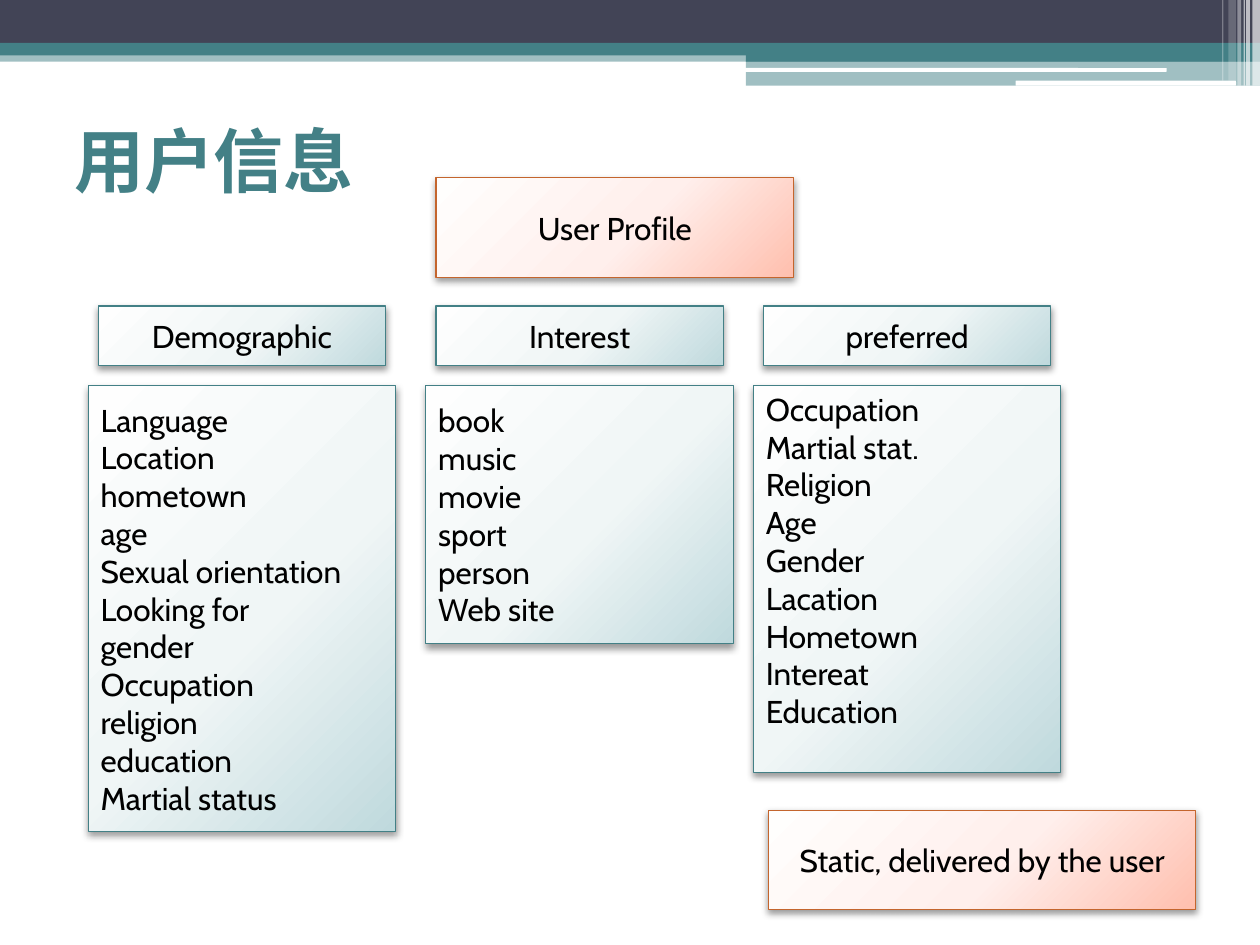
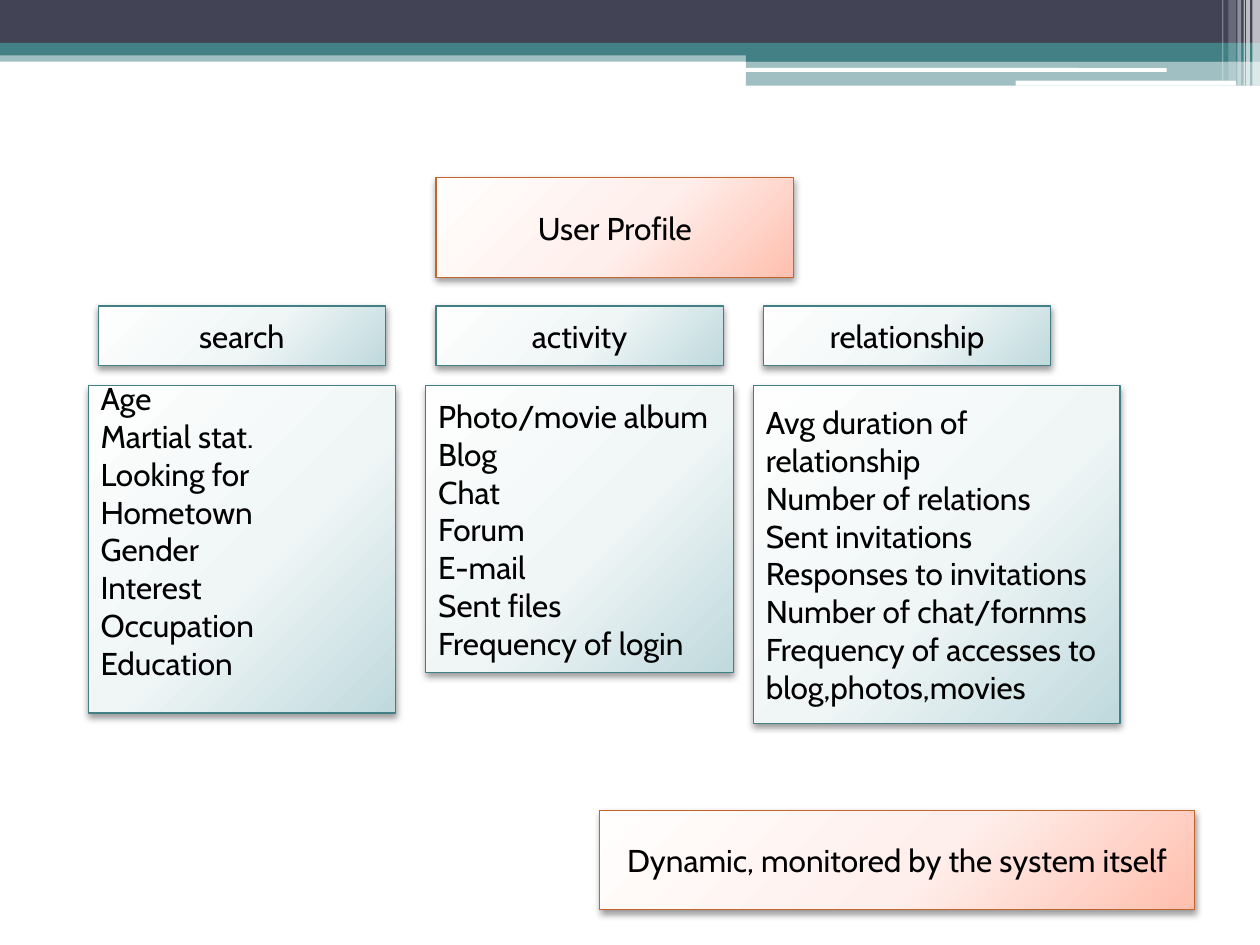
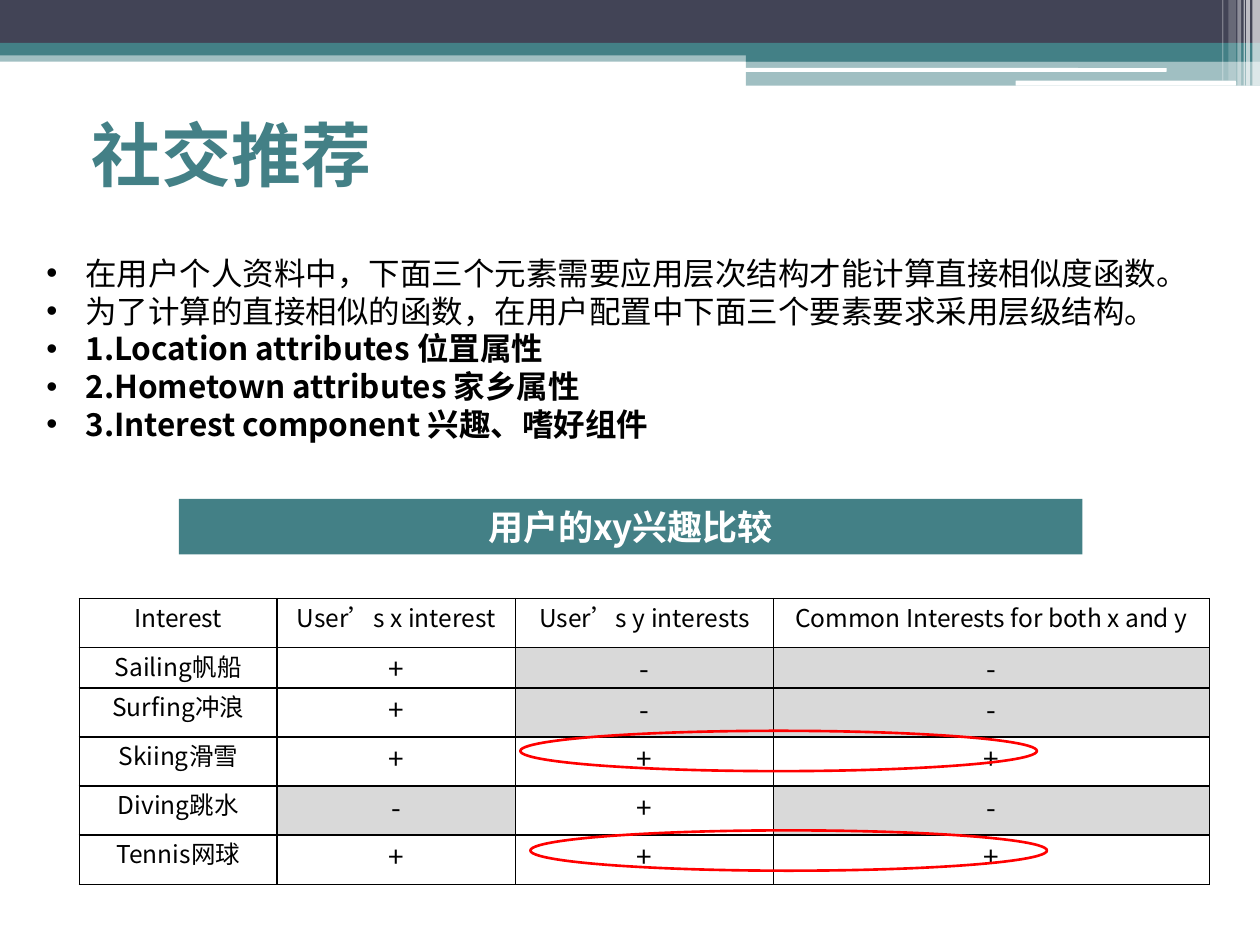
from dataclasses import dataclass
from typing import NamedTuple

from lxml.etree import SubElement
from pptx import Presentation
from pptx.dml.color import RGBColor
from pptx.enum.shapes import MSO_SHAPE as Preset
from pptx.enum.text import MSO_ANCHOR as Anchor, PP_ALIGN as Align
from pptx.oxml import parse_xml
from pptx.oxml.ns import nsdecls, qn
from pptx.util import Emu, Pt

PX = 9144
TEAL, NAVY, ORANGE = "438086", "424456", "C4652D"
WHITE, BLACK, RED, GREY = "FFFFFF", "000000", "FF0000", "D9D9D9"
CABIN, SC, TC = "Cabin", "Noto Sans CJK SC", "Noto Sans CJK TC"


class Area(NamedTuple):
    left: int
    top: int
    width: int
    height: int

    def emu(self) -> list[Emu]:
        return [Emu(length * PX) for length in self]


class Band(NamedTuple):
    area: Area
    color: str
    alpha: int = 100
    preset: Preset = Preset.RECTANGLE


class CardStyle(NamedTuple):
    line: str
    stops: tuple[str, str, str]


@dataclass(frozen=True)
class TextStyle:
    size: int
    font: str
    color: str = BLACK
    bold: bool = False
    align: Align = Align.LEFT
    east_font: str = ""


@dataclass(frozen=True)
class Topic:
    name: str
    items: str
    height: int
    width: int = 244
    lift: int = 0


TEAL_CARD = CardStyle(TEAL, ("FEFEFE", "F0F6F6", "BFD9DD"))
ORANGE_CARD = CardStyle(ORANGE, ("FFFEFD", "FFEFEC", "FFBFAE"))
LIST_TEXT = TextStyle(18, CABIN)
LABEL_TEXT = TextStyle(18, CABIN, align=Align.CENTER)
TITLE_TEXT = TextStyle(40, TC, TEAL, bold=True)
BANNER_TEXT = TextStyle(20, SC, WHITE, bold=True, align=Align.CENTER)
NAME_TEXT = TextStyle(14, SC, align=Align.CENTER)
MARK_TEXT = TextStyle(16, SC, align=Align.CENTER)

BANDS = [
    Band(Area(0, 40, 1000, 9), TEAL, 50),
    Band(Area(0, 0, 1000, 34), NAVY),
    Band(Area(0, 34, 1000, 10), TEAL),
    Band(Area(592, 39, 408, 10), TEAL),
    Band(Area(592, 48, 408, 20), TEAL, 50),
    Band(Area(591, 54, 335, 3), WHITE, preset=Preset.ROUNDED_RECTANGLE),
    Band(Area(806, 64, 175, 4), WHITE, preset=Preset.ROUNDED_RECTANGLE),
    *(
        Band(Area(left, 0, width, height), WHITE, alpha)
        for left, width, height, alpha in [
            (994, 6, 68, 65), (989, 3, 68, 65), (987, 1, 68, 60),
            (982, 3, 68, 40), (975, 6, 64, 20), (970, 1, 64, 30),
        ]
    ),
]

STATIC_TOPICS = [
    Topic("Demographic", "Language|Location|hometown|age|Sexual orientation|Looking for|"
          "gender|Occupation|religion|education|Martial status", 354),
    Topic("Interest", "book|music|movie|sport|person|Web site", 205),
    Topic("preferred", "Occupation|Martial stat.|Religion|Age|Gender|Lacation|"
          "Hometown|Intereat|Education", 307, lift=30),
]
DYNAMIC_TOPICS = [
    Topic("search", "Age|Martial stat.|Looking for|Hometown|Gender|Interest|"
          "Occupation|Education", 260, lift=30),
    Topic("activity", "Photo/movie album|Blog|Chat|Forum|E-mail|Sent files|"
          "Frequency of login", 228),
    Topic("relationship", "Avg duration of relationship|Number of relations|"
          "Sent invitations|Responses to invitations|Number of chat/fornms|"
          "Frequency of accesses to blog,photos,movies", 268, width=291),
]
TOPIC_LEFTS = (70, 338, 598)

NOTES = [
    "在用户个人资料中，下面三个元素需要应用层次结构才能计算直接相似度函数。",
    "为了计算的直接相似的函数，在用户配置中下面三个要素要求采用层级结构。",
    "1.Location attributes 位罝属性",
    "2.Hometown attributes 家乡属性",
    "3.Interest component 兴趣、嗜好组件",
]
INTERESTS = [
    ("Interest", "User’s x interest", "User’s y interests", "Common Interests for both x and y"),
    ("Sailing帆船", "+", "-", "-"),
    ("Surfing冲浪", "+", "-", "-"),
    ("Skiing滑雪", "+", "+", "+"),
    ("Diving跳水", "-", "+", "-"),
    ("Tennis网球", "+", "+", "+"),
]
COLUMN_WIDTHS = (157, 189, 205, 346)
ROW_HEIGHTS = (39, 32, 39, 39, 39, 39)


def rgb(color: str) -> RGBColor:
    return RGBColor.from_string(color)


def style_paragraph(para, style: TextStyle) -> None:
    para.alignment = style.align
    font = para.font
    font.size, font.bold, font.name = Pt(style.size), style.bold, style.font
    font.color.rgb = rgb(style.color)
    east = SubElement(para._p.pPr.find(qn("a:defRPr")), qn("a:ea"))
    east.set("typeface", style.east_font or style.font)


def write_lines(frame, lines: list[str], style: TextStyle) -> None:
    frame.word_wrap = True
    frame.vertical_anchor = Anchor.MIDDLE
    for index, line in enumerate(lines):
        para = frame.add_paragraph() if index else frame.paragraphs[0]
        para.text = line
        style_paragraph(para, style)


def add_box(page, area: Area, color: str, preset: Preset = Preset.RECTANGLE):
    box = page.shapes.add_shape(preset, *area.emu())
    box.shadow.inherit = False
    box.fill.solid()
    box.fill.fore_color.rgb = rgb(color)
    box.line.fill.background()
    return box


def add_band(page, band: Band) -> None:
    box = add_box(page, band.area, band.color, band.preset)
    if band.alpha < 100:
        color = box._element.spPr.find(qn("a:solidFill"))[0]
        SubElement(color, qn("a:alpha")).set("val", str(band.alpha * 1000))


def add_card(page, area: Area, card: CardStyle, lines: list[str], style: TextStyle, lift: int = 0) -> None:
    box = add_box(page, area, WHITE)
    box.line.color.rgb = rgb(card.line)
    box.line.width = Pt(0.75)
    stops = "".join(
        f'<a:gs pos="{place}000"><a:srgbClr val="{color}"/></a:gs>'
        for place, color in zip((0, 55, 100), card.stops)
    )
    properties = box._element.spPr
    properties.replace(properties.find(qn("a:solidFill")), parse_xml(
        f'<a:gradFill {nsdecls("a")} rotWithShape="1"><a:gsLst>{stops}</a:gsLst>'
        '<a:path path="circle"><a:fillToRect l="-40000" t="-90000" r="140000" b="190000"/>'
        '</a:path></a:gradFill>'))
    properties.find(qn("a:effectLst")).append(parse_xml(
        f'<a:outerShdw {nsdecls("a")} blurRad="51500" dist="25400" dir="5400000" rotWithShape="0">'
        '<a:srgbClr val="000000"><a:alpha val="40000"/></a:srgbClr></a:outerShdw>'))
    box.text_frame.margin_bottom = Emu((5 + lift) * PX)
    write_lines(box.text_frame, lines, style)


def add_page(deck):
    page = deck.slides.add_slide(deck.slide_layouts[6])
    for band in BANDS:
        add_band(page, band)
    return page


def add_title(page, title: str, left: int, top: int) -> None:
    box = page.shapes.add_textbox(*Area(left, top, 900, 117).emu())
    write_lines(box.text_frame, [title], TITLE_TEXT)


def add_profile_page(deck, topics: list[Topic], source: str, source_area: Area):
    page = add_page(deck)
    for left, topic in zip(TOPIC_LEFTS, topics):
        body = Area(left, 306, topic.width, topic.height)
        add_card(page, body, TEAL_CARD, topic.items.split("|"), LIST_TEXT, topic.lift)
        add_card(page, Area(left + 8, 243, 228, 47), TEAL_CARD, [topic.name], LABEL_TEXT)
    add_card(page, Area(346, 141, 284, 79), ORANGE_CARD, ["User Profile"], LABEL_TEXT)
    add_card(page, source_area, ORANGE_CARD, [source], LABEL_TEXT)
    return page


def add_notes_list(page) -> None:
    frame = page.shapes.add_textbox(*Area(27, 178, 945, 197).emu()).text_frame
    frame.word_wrap = True
    frame.vertical_anchor = Anchor.MIDDLE
    for index, note in enumerate(NOTES):
        para = frame.add_paragraph() if index else frame.paragraphs[0]
        para.text = note
        properties = para._p.get_or_add_pPr()
        properties.set("marL", str(31 * PX))
        properties.set("indent", str(-31 * PX))
        SubElement(properties, qn("a:buFont")).set("typeface", "Arial")
        SubElement(properties, qn("a:buChar")).set("char", "•")
        style_paragraph(para, TextStyle(18, SC, bold=index > 1, east_font=TC if index else SC))


def fill_cell(cell, text: str) -> None:
    cell.margin_left = cell.margin_right = Emu(7 * PX)
    cell.margin_top = cell.margin_bottom = 0
    para = cell.text_frame.paragraphs[0]
    para.text = text
    style_paragraph(para, MARK_TEXT if text in "+-" else NAME_TEXT)
    for side in ("lnL", "lnR", "lnT", "lnB"):
        cell._tc.get_or_add_tcPr().append(parse_xml(
            f'<a:{side} {nsdecls("a")} w="12700"><a:solidFill><a:srgbClr val="{BLACK}"/>'
            f'</a:solidFill></a:{side}>'))
    if text == "-":
        cell.fill.solid()
        cell.fill.fore_color.rgb = rgb(GREY)
    else:
        cell.fill.background()


def add_interest_table(page) -> None:
    area = Area(63, 475, sum(COLUMN_WIDTHS), sum(ROW_HEIGHTS))
    table = page.shapes.add_table(len(ROW_HEIGHTS), len(COLUMN_WIDTHS), *area.emu()).table
    table.first_row = table.horz_banding = False
    for column, width in zip(table.columns, COLUMN_WIDTHS):
        column.width = Emu(width * PX)
    for row, height, texts in zip(table.rows, ROW_HEIGHTS, INTERESTS):
        row.height = Emu(height * PX)
        for cell, text in zip(row.cells, texts):
            fill_cell(cell, text)


def add_ring(page, left: int, top: int) -> None:
    ring = add_box(page, Area(left, top, 410, 32), WHITE, Preset.OVAL)
    ring.fill.background()
    ring.line.color.rgb = rgb(RED)
    ring.line.width = Pt(1.5)


def add_recommendation_page(deck) -> None:
    page = add_page(deck)
    add_title(page, "社交推荐", 63, 63)
    banner = add_box(page, Area(142, 396, 717, 44), TEAL)
    write_lines(banner.text_frame, ["用户的xy兴趣比较"], BANNER_TEXT)
    add_interest_table(page)
    add_ring(page, 421, 659)
    add_ring(page, 413, 580)
    add_notes_list(page)


def main() -> None:
    """Build the user profile and social recommendation slides."""
    deck = Presentation()
    deck.slide_width, deck.slide_height = Emu(1000 * PX), Emu(750 * PX)
    static_page = add_profile_page(
        deck, STATIC_TOPICS, "Static, delivered by the user", Area(610, 643, 339, 79))
    add_title(static_page, "用户信息", 49, 68)
    add_profile_page(
        deck, DYNAMIC_TOPICS, "Dynamic, monitored by the system itself", Area(476, 643, 472, 79))
    add_recommendation_page(deck)
    deck.save("out.pptx")


if __name__ == "__main__":
    main()
